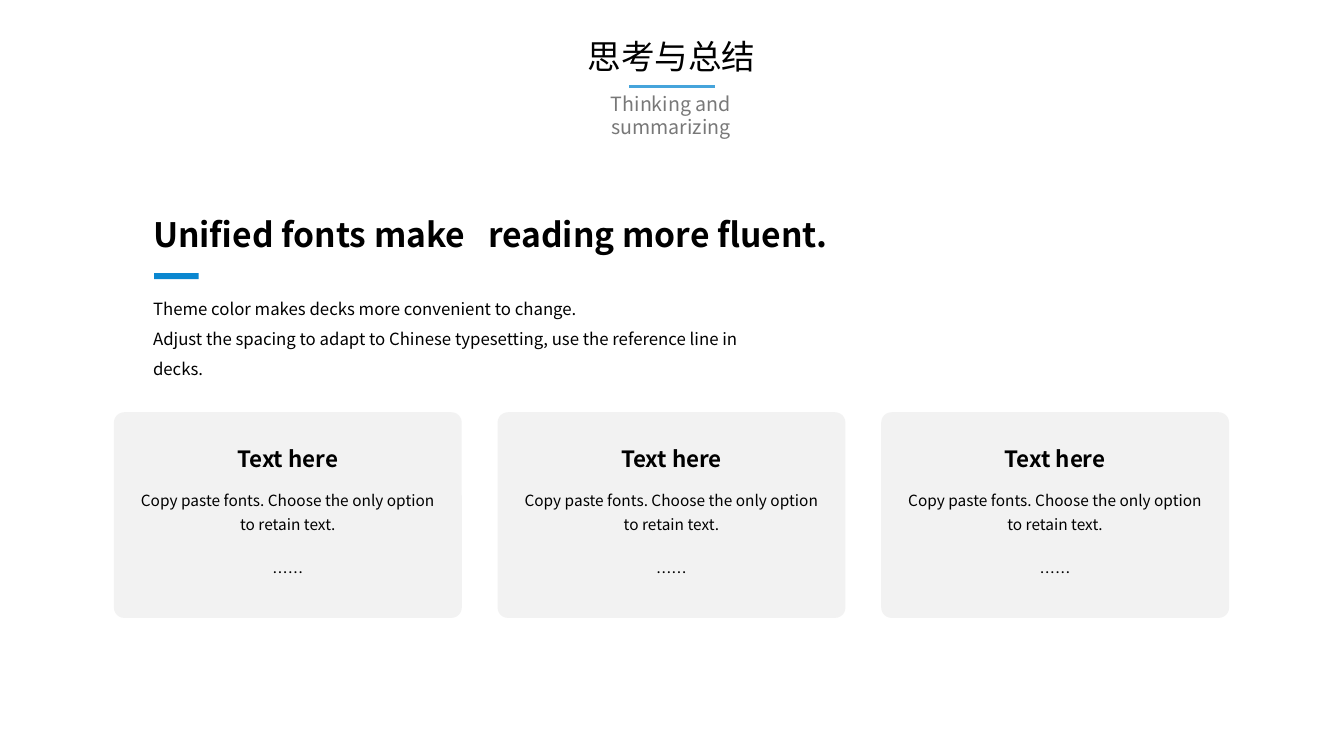
from pptx import Presentation
from pptx.dml.color import RGBColor
from pptx.enum.shapes import MSO_CONNECTOR, MSO_SHAPE
from pptx.enum.text import MSO_ANCHOR, MSO_AUTO_SIZE, PP_ALIGN
from pptx.oxml.ns import qn
from pptx.util import Inches, Pt

RECTANGLE, ROUNDED = MSO_SHAPE.RECTANGLE, MSO_SHAPE.ROUNDED_RECTANGLE
STRAIGHT = MSO_CONNECTOR.STRAIGHT
TOP, MIDDLE, BOTTOM = MSO_ANCHOR.TOP, MSO_ANCHOR.MIDDLE, MSO_ANCHOR.BOTTOM
LEFT, CENTER = PP_ALIGN.LEFT, PP_ALIGN.CENTER
NO_AUTOFIT = MSO_AUTO_SIZE.NONE

FONT = "Noto Sans CJK SC"
COLORS = {"ink": "000000", "muted": "787878", "card": "F2F2F2",
          "accent": "0A87D0", "rule": "46A4DB"}
SLIDE_W, SLIDE_H = 13.33, 7.5
CARD_COUNT = 3
CARD_LEFT, LAST_CARD_LEFT = 1.13, 8.74
CARD_STEP = (LAST_CARD_LEFT - CARD_LEFT) / (CARD_COUNT - 1)
CARD_TOP, CARD_W, CARD_H = 4.09, 3.45, 2.04
CARD_INSET = 0.11
CARD_TEXT_W = CARD_W - 2 * CARD_INSET
MARGIN = 1.42


def color(name):
    return RGBColor.from_string(COLORS[name])


def box(left, top, width, height):
    return [Inches(value) for value in (left, top, width, height)]


def style_run(run, size, ink="ink", bold=False):
    run.font.size = Pt(size)
    run.font.bold = bold
    run.font.name = FONT
    run.font.color.rgb = color(ink)
    east_asian = run.font._element.makeelement(qn("a:ea"), {"typeface": FONT})
    run.font._element.find(qn("a:latin")).addnext(east_asian)


def fill_text(holder, lines, size, ink="ink", bold=False, align=LEFT,
              anchor=TOP, spacing=1.0):
    frame = holder.text_frame
    frame.text = "\n".join(lines)
    frame.word_wrap = True
    frame.auto_size = NO_AUTOFIT
    frame.vertical_anchor = anchor
    for paragraph in frame.paragraphs:
        paragraph.alignment = align
        paragraph.line_spacing = spacing
        for run in paragraph.runs:
            style_run(run, size, ink, bold)
    return frame


def add_text(slide, place, lines, size, **look):
    return fill_text(slide.shapes.add_textbox(*box(*place)), lines, size, **look)


def add_block(slide, kind, place, fill):
    block = slide.shapes.add_shape(kind, *box(*place))
    block.shadow.inherit = False
    block.fill.solid()
    block.fill.fore_color.rgb = color(fill)
    block.line.fill.background()
    return block


def add_rule(slide, left, right, top):
    rule = slide.shapes.add_connector(
        STRAIGHT, Inches(left), Inches(top), Inches(right), Inches(top))
    rule.line.color.rgb = color("rule")
    rule.line.width = Pt(2.25)
    properties = rule._element.spPr
    properties.append(properties.makeelement(qn("a:effectLst"), {}))


def add_title(slide):
    title = slide.shapes.title
    title.left, title.top, title.width, title.height = box(5.61, 0.31, 2.1, 0.5)
    fill_text(title, ["思考与总结"], 24, align=CENTER)
    add_rule(slide, 6.24, 7.09, 0.86)
    add_text(slide, (5.51, 0.86, 2.29, 0.34), ["Thinking and summarizing"], 14,
             ink="muted", align=CENTER)


def add_heading(slide):
    heading = add_text(slide, (MARGIN, 1.64, 10.53, 0.93),
                       ["Unified fonts make"], 24, bold=True, anchor=BOTTOM)
    for words, tracking in ((" ", 1080), ("reading more fluent.", 0)):
        run = heading.paragraphs[0].add_run()
        run.text = words
        style_run(run, 24, bold=True)
        run.font._element.set("spc", str(tracking))
    add_block(slide, RECTANGLE, (1.53, 2.71, 0.44, 0.06), "accent")


def add_card(slide, left):
    card = add_block(slide, ROUNDED, (left, CARD_TOP, CARD_W, CARD_H), "card")
    card.adjustments[0] = 0.05
    text_left = left + CARD_INSET
    add_text(slide, (text_left, CARD_TOP + 0.23, CARD_TEXT_W, 0.45),
             ["Text here"], 16, bold=True, align=CENTER, anchor=MIDDLE)
    body = add_text(slide, (text_left, CARD_TOP + 0.68, CARD_TEXT_W, 1.12),
                    ["Copy paste fonts. Choose the only option to retain text.",
                     "……"], 11, align=CENTER, spacing=1.3)
    body.paragraphs[1].space_before = Pt(17)


def main():
    deck = Presentation()
    deck.slide_width, deck.slide_height = Inches(SLIDE_W), Inches(SLIDE_H)
    slide = deck.slides.add_slide(deck.slide_layouts[5])
    add_title(slide)
    add_heading(slide)
    add_text(slide, (MARGIN, 2.74, 6.47, 1.14),
             ["Theme color makes decks more convenient to change.",
              "Adjust the spacing to adapt to Chinese typesetting, "
              "use the reference line in decks."], 12, anchor=MIDDLE, spacing=1.5)
    for column in range(CARD_COUNT):
        add_card(slide, CARD_LEFT + column * CARD_STEP)
    deck.save("out.pptx")


if __name__ == "__main__":
    main()
